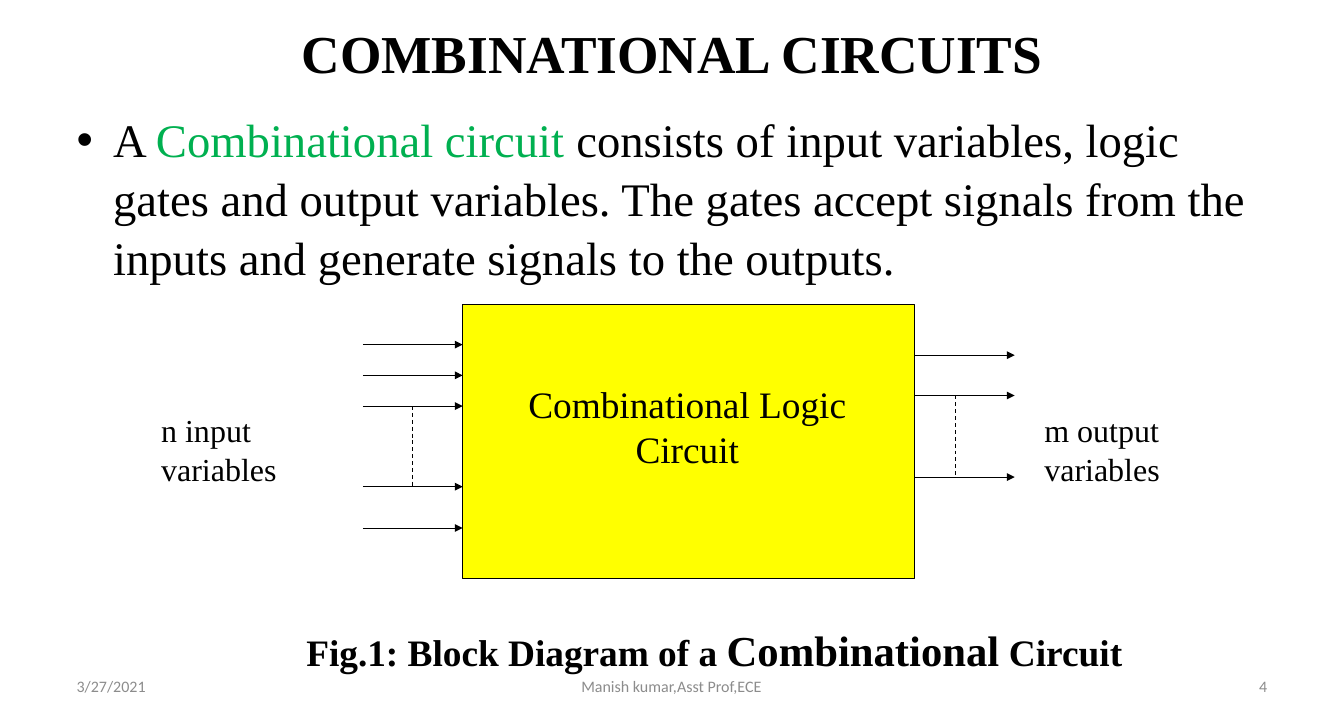
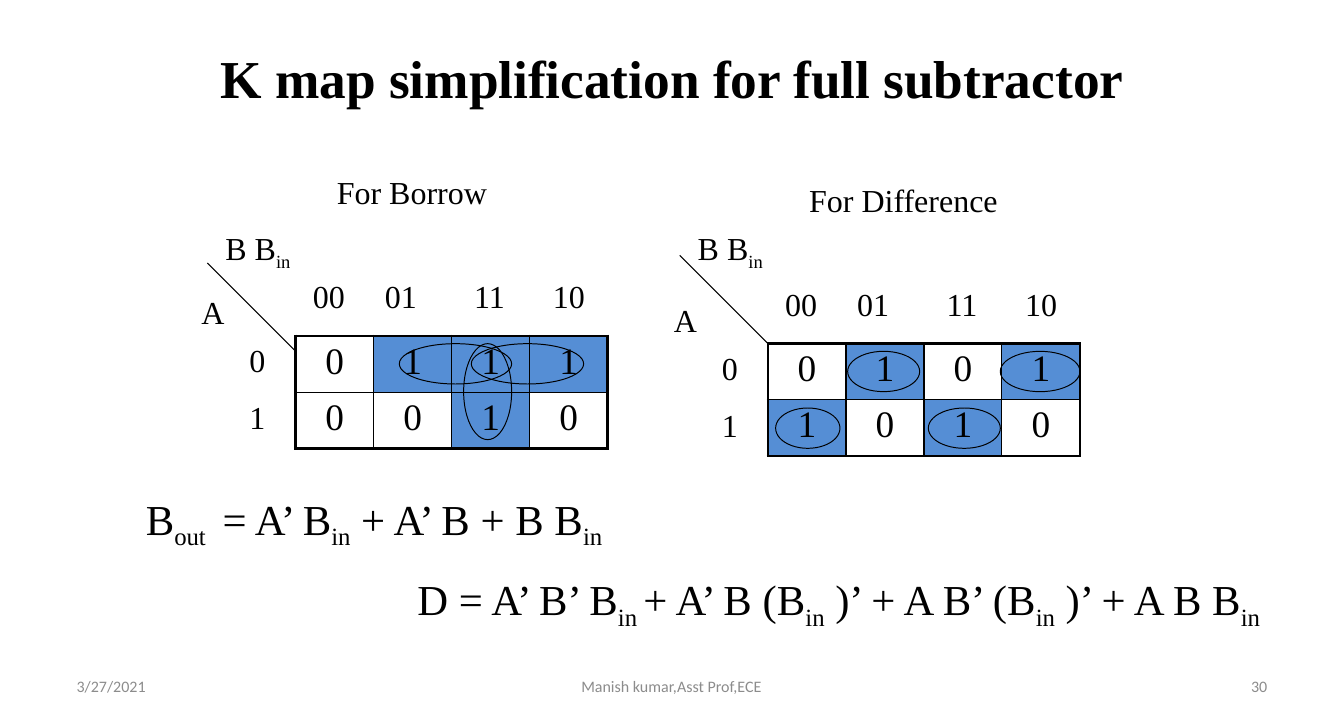
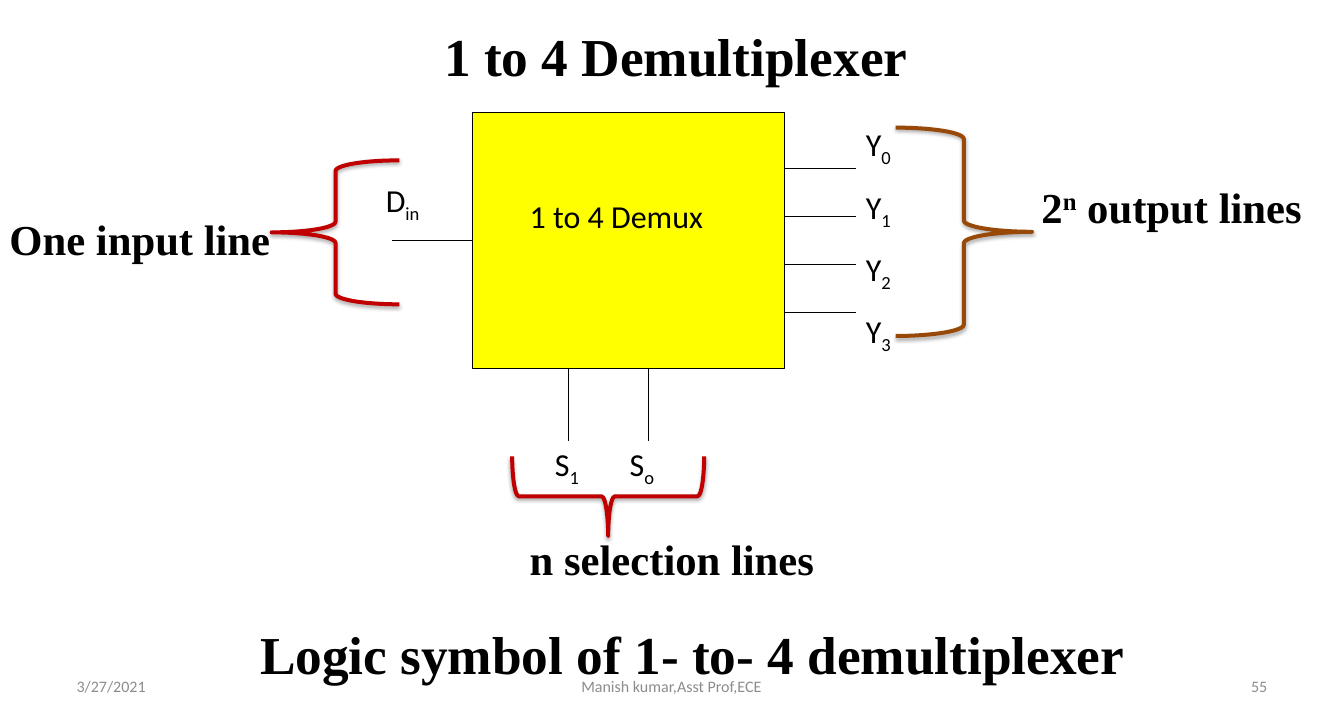
from dataclasses import dataclass

from lxml.etree import SubElement
from pptx import Presentation
from pptx.dml.color import RGBColor
from pptx.enum.dml import MSO_LINE
from pptx.enum.shapes import MSO_CONNECTOR, MSO_SHAPE
from pptx.enum.text import MSO_ANCHOR, PP_ALIGN
from pptx.oxml import parse_xml
from pptx.oxml.ns import nsdecls, qn
from pptx.util import Inches, Pt


@dataclass(frozen=True)
class Theme:
    serif: str = "Times New Roman"
    sans: str = "Calibri"
    ink: str = "000000"
    green: str = "00B050"
    block: str = "FFFF00"
    one_cell: str = "558ED5"
    zero_cell: str = "FFFFFF"
    red: str = "C00000"
    brown: str = "984807"
    footer: str = "8C8C8C"
    title_size: int = 40
    body_size: int = 35
    large_size: int = 32
    medium_size: int = 28
    label_size: int = 24
    footer_size: int = 12
    thin: float = 0.75
    grid: float = 1
    frame: float = 2.25
    brace: float = 3


THEME = Theme()
SUBSCRIPT, SUPERSCRIPT = -25000, 30000
FOOTER_DATE, FOOTER_AUTHOR = "3/27/2021", "Manish kumar,Asst Prof,ECE"


def color(code):
    return RGBColor.from_string(code)


def place(shape, box):
    shape.left, shape.top, shape.width, shape.height = map(Inches, box)


def style_font(font, size, name, code=THEME.ink, bold=False):
    font.size, font.name, font.bold = Pt(size), name, bold
    font.color.rgb = color(code)


def add_tabs(paragraph, stops):
    tab_list = SubElement(paragraph._p.get_or_add_pPr(), qn("a:tabLst"))
    for stop in stops:
        SubElement(tab_list, qn("a:tab"), pos=str(Inches(stop)), algn="l")


def add_text(slide, box, lines, size=THEME.label_size, name=THEME.serif,
             code=THEME.ink, bold=False, align=PP_ALIGN.LEFT, anchor=MSO_ANCHOR.TOP,
             wrap=True, baseline=SUBSCRIPT, gap=14, tabs=()):
    """Each line splits into runs at "|"; every second run takes the baseline shift."""
    shape = slide.shapes.add_textbox(*map(Inches, box))
    frame = shape.text_frame
    frame.word_wrap, frame.vertical_anchor = wrap, anchor
    for index, line in enumerate(lines):
        paragraph = frame.add_paragraph() if index else frame.paragraphs[0]
        paragraph.alignment = align
        if index:
            paragraph.space_before = Pt(gap)
        if tabs:
            add_tabs(paragraph, tabs)
        for position, piece in enumerate(line.split("|")):
            run = paragraph.add_run()
            run.text = piece
            style_font(run.font, size, name, code, bold)
            if baseline and position % 2:
                run._r.get_or_add_rPr().set("baseline", str(baseline))
    return shape


def add_line(slide, start, end, arrow=False, dashed=False):
    line = slide.shapes.add_connector(MSO_CONNECTOR.STRAIGHT, *map(Inches, (*start, *end)))
    line.line.color.rgb = color(THEME.ink)
    line.line.width = Pt(THEME.thin)
    if dashed:
        line.line.dash_style = MSO_LINE.DASH
    if arrow:
        SubElement(line.line._get_or_add_ln(), qn("a:tailEnd"), type="triangle")
    SubElement(line._element.spPr, qn("a:effectLst"))


def add_outline(slide, kind, box, line=THEME.ink, width=THEME.thin, fill=None):
    shape = slide.shapes.add_shape(kind, *map(Inches, box))
    shape.shadow.inherit = False
    shape.line.color.rgb = color(line)
    shape.line.width = Pt(width)
    if fill:
        shape.fill.solid()
        shape.fill.fore_color.rgb = color(fill)
    else:
        shape.fill.background()
    return shape


def add_brace(slide, box, line, rotation=0):
    brace = add_outline(slide, MSO_SHAPE.RIGHT_BRACE, box, line, THEME.brace)
    brace.rotation = rotation
    brace._element.spPr.find(qn("a:effectLst")).append(parse_xml(
        f'<a:outerShdw {nsdecls("a")} blurRad="40000" dist="23000" dir="5400000" '
        f'rotWithShape="0"><a:srgbClr val="{THEME.ink}"><a:alpha val="35000"/>'
        '</a:srgbClr></a:outerShdw>'))


def add_titled_slide(presentation, title, box, number):
    slide = presentation.slides.add_slide(presentation.slide_layouts[5])
    place(slide.shapes.title, box)
    frame = slide.shapes.title.text_frame
    frame.text = title
    frame.vertical_anchor = MSO_ANCHOR.MIDDLE
    paragraph = frame.paragraphs[0]
    paragraph.alignment = PP_ALIGN.CENTER
    style_font(paragraph.runs[0].font, THEME.title_size, THEME.serif, bold=True)
    for left, width, text, align in (
            (0.7, 3.27, FOOTER_DATE, PP_ALIGN.LEFT),
            (4.78, 4.43, FOOTER_AUTHOR, PP_ALIGN.CENTER),
            (10.03, 3.27, str(number), PP_ALIGN.RIGHT)):
        add_text(slide, (left, 6.95, width, 0.4), [text], THEME.footer_size, THEME.sans,
                 THEME.footer, align=align, anchor=MSO_ANCHOR.MIDDLE)
    return slide


def add_definition(slide, box):
    shape = add_text(
        slide, box,
        ["A |Combinational circuit |consists of input variables, logic gates and output "
         "variables. The gates accept signals from the inputs and generate signals to "
         "the outputs."], THEME.body_size, baseline=None)
    paragraph = shape.text_frame.paragraphs[0]
    paragraph.line_spacing = 1.05
    properties = paragraph._p.get_or_add_pPr()
    properties.set("marL", str(Inches(0.38)))
    properties.set("indent", str(-Inches(0.38)))
    SubElement(properties, qn("a:buFont"), typeface="Arial")
    SubElement(properties, qn("a:buChar"), char="•")
    paragraph.runs[1].font.color.rgb = color(THEME.green)


def add_block_diagram(slide, left, top, width, height):
    right, arrow_length = left + width, 1.04
    add_outline(slide, MSO_SHAPE.RECTANGLE, (left, top, width, height), fill=THEME.block)
    add_text(slide, (left + 0.51, top + 0.75, 3.66, 1.04), ["Combinational Logic Circuit"],
             THEME.medium_size, align=PP_ALIGN.CENTER)
    for start, drops in ((left - arrow_length, (0.42, 0.74, 1.06, 1.9, 2.33)),
                         (right, (0.53, 0.95, 1.8))):
        for drop in drops:
            add_line(slide, (start, top + drop), (start + arrow_length, top + drop), arrow=True)
    for x, first, last in ((left - 0.52, 1.06, 1.9), (right + 0.42, 0.95, 1.8)):
        add_line(slide, (x, top + first), (x, top + last), dashed=True)
    for x, text in ((left - 3.24, "n input variables"), (right + 1.25, "m output variables")):
        add_text(slide, (x, top + 1.06, 1.88, 0.88), [text])


def build_combinational(presentation):
    slide = add_titled_slide(presentation, "COMBINATIONAL CIRCUITS", (0.7, 0, 12.6, 1.08), 4)
    add_definition(slide, (0.7, 1.08, 12.6, 2))
    add_block_diagram(slide, 4.82, 3.17, 4.71, 2.86)
    caption = add_text(slide, (0.88, 6.45, 13.12, 0.64),
                       ["Fig.1: Block Diagram of a |Combinational| Circuit"],
                       THEME.medium_size, bold=True, align=PP_ALIGN.CENTER, baseline=None)
    caption.text_frame.paragraphs[0].runs[1].font.size = Pt(THEME.large_size)


def add_borders(cell, row, column, last_row, last_column):
    properties = cell._tc.get_or_add_tcPr()
    for tag, outer in (("lnL", column == 0), ("lnR", column == last_column),
                       ("lnT", row == 0), ("lnB", row == last_row)):
        width = THEME.frame if outer else THEME.grid
        border = SubElement(properties, qn(f"a:{tag}"), w=str(Pt(width)))
        fill = SubElement(border, qn("a:solidFill"))
        SubElement(fill, qn("a:srgbClr"), val=THEME.ink)


def add_grid(slide, box, rows):
    """Truth grid whose ones are shaded."""
    table = slide.shapes.add_table(len(rows), len(rows[0]), *map(Inches, box)).table
    table.first_row = table.horz_banding = False
    for row, values in enumerate(rows):
        for column, value in enumerate(values):
            cell = table.cell(row, column)
            add_borders(cell, row, column, len(rows) - 1, len(values) - 1)
            cell.fill.solid()
            cell.fill.fore_color.rgb = color(THEME.one_cell if value == "1" else THEME.zero_cell)
            cell.text_frame.text = value
            paragraph = cell.text_frame.paragraphs[0]
            paragraph.alignment = PP_ALIGN.CENTER
            style_font(paragraph.runs[0].font, THEME.medium_size, THEME.serif)


def add_k_map(slide, left, top, heading, rows, loops, axis_drop=0):
    add_grid(slide, (left, top, 3.25, 1.17), rows)
    add_line(slide, (left - 0.92, top - 0.92 + 2 * axis_drop), (left, top + 2 * axis_drop))
    columns = add_text(slide, (left - 0.08, top - 0.67, 3.33, 0.5), ["00\t01\t11\t10"],
                       tabs=(0.75, 1.68, 2.5))
    columns.text_frame.margin_left = Inches(0.26)
    add_text(slide, (left - 0.58, top, 0.42, 1.11), ["0", "1"])
    add_text(slide, (left - 0.83, top - 1.25 + axis_drop, 1, 0.5), ["B B|in"])
    add_text(slide, (left - 1.08, top - 0.5, 0.42, 0.5), ["A"])
    add_text(slide, (left + 0.33, top - 1.75, 2.75, 0.5), [heading])
    for x, y, width, height in loops:
        add_outline(slide, MSO_SHAPE.OVAL, (left + x, top + y, width, height))


def build_subtractor(presentation):
    slide = add_titled_slide(presentation, "K map simplification for full subtractor",
                             (0, 0.33, 14, 0.95), 30)
    add_k_map(slide, 8, 3.58, "For Difference", ("0101", "1010"),
              ((0.08, 0.67, 0.67, 0.42), (0.83, 0.08, 0.75, 0.42),
               (1.67, 0.67, 0.75, 0.42), (2.42, 0.08, 0.83, 0.42)))
    add_k_map(slide, 3.08, 3.5, "For Borrow", ("0111", "0010"),
              ((1.08, 0.08, 1.17, 0.42), (1.83, 0.08, 1.17, 0.42), (1.75, 0.08, 0.5, 1)),
              axis_drop=0.08)
    add_text(slide, (1.42, 5.08, 5.58, 0.64), ["B|out | = A’ B|in| + A’ B + B B|in"],
             THEME.large_size)
    add_text(slide, (4.25, 5.92, 9.42, 0.64),
             ["D = A’ B’ B|in |+ A’ B (B|in| )’ + A B’ (B|in| )’ + A B B|in"],
             THEME.large_size)


def add_demux_symbol(slide, left, top, width, height):
    right, bottom = left + width, top + height
    add_outline(slide, MSO_SHAPE.RECTANGLE, (left, top, width, height), fill=THEME.block)
    add_line(slide, (left - 0.84, top + 1.33), (left, top + 1.33))
    for x in (left + 1, left + 1.83):
        add_line(slide, (x, bottom), (x, bottom + 0.75))
    for output in range(4):
        y = top + 0.58 + 0.5 * output
        add_line(slide, (right, y), (right + 0.75, y))
    add_text(slide, (left + 0.5, top + 0.83, 2.17, 0.51), ["1 to 4 Demux"], name=THEME.sans)
    add_text(slide, (left - 1, top + 0.66, 0.75, 0.51), ["D|in"], name=THEME.sans)
    add_text(slide, (right + 0.75, top + 0.08, 0.92, 2.32),
             [f"Y|{output}" for output in range(4)], name=THEME.sans)
    selectors = add_text(slide, (left + 0.16, bottom + 0.74, 2.42, 0.51), ["S|1|\tS|o"],
                         name=THEME.sans, tabs=(0.78,))
    selectors.text_frame.margin_left = Inches(0.7)


def build_demultiplexer(presentation):
    slide = add_titled_slide(presentation, "1 to 4 Demultiplexer", (0.75, 0.1, 12.58, 0.95), 55)
    add_demux_symbol(slide, 4.92, 1.17, 3.25, 2.67)
    add_text(slide, (0.92, 6.33, 12.58, 0.95), ["Logic symbol of 1- to- 4 demultiplexer"],
             THEME.title_size, bold=True, align=PP_ALIGN.CENTER, anchor=MSO_ANCHOR.MIDDLE)
    add_brace(slide, (9.33, 1.33, 1.42, 2.17), THEME.brown)
    add_brace(slide, (5.92, 4.17, 0.83, 2), THEME.red, 90)
    add_brace(slide, (2.83, 1.67, 1.33, 1.5), THEME.red, 180)
    for box, text, wrap in (((10.75, 1.83, 3.08, 0.64), "2|n| output lines", True),
                            ((5.42, 5.5, 3.27, 0.64), "n selection lines", False),
                            ((0, 2.17, 3.02, 0.64), "One input line", False)):
        add_text(slide, box, [text], THEME.large_size, bold=True, wrap=wrap,
                 baseline=SUPERSCRIPT)


def main():
    presentation = Presentation()
    presentation.slide_width, presentation.slide_height = Inches(14), Inches(7.5)
    build_combinational(presentation)
    build_subtractor(presentation)
    build_demultiplexer(presentation)
    presentation.save("out.pptx")


if __name__ == "__main__":
    main()
